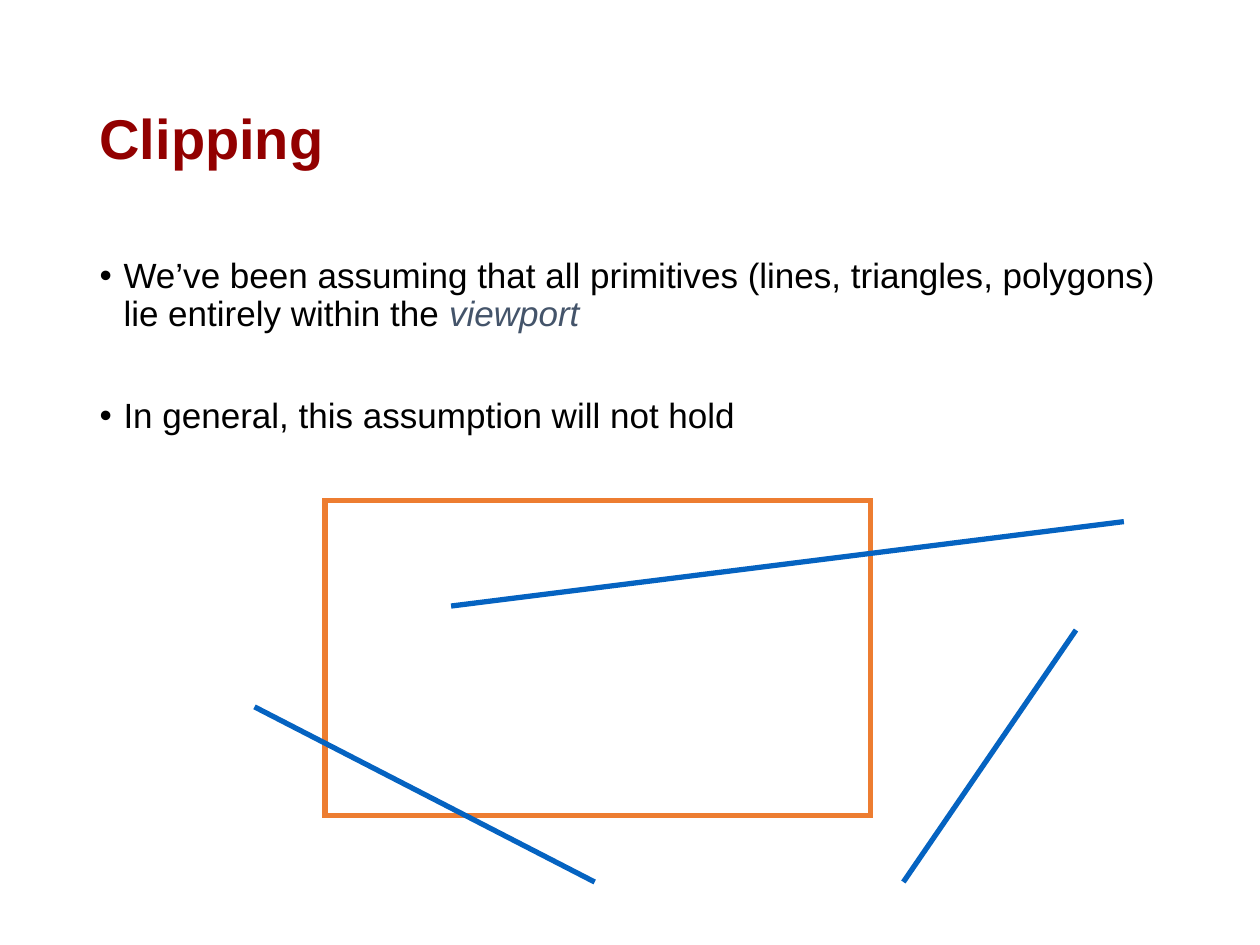
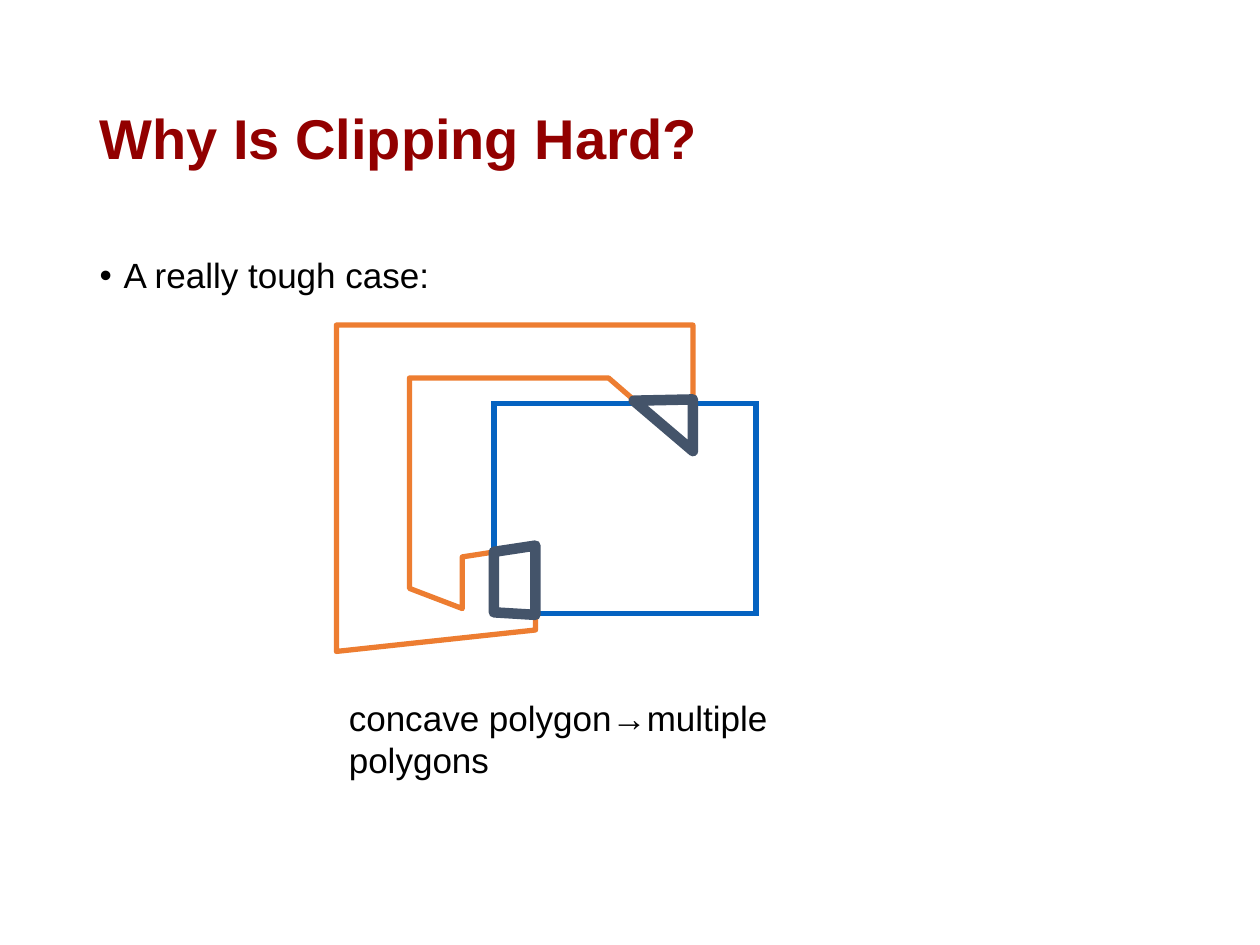
from dataclasses import dataclass

from lxml.etree import SubElement
from pptx import Presentation
from pptx.dml.color import RGBColor
from pptx.enum.shapes import MSO_CONNECTOR, MSO_SHAPE
from pptx.enum.text import MSO_ANCHOR, MSO_AUTO_SIZE, PP_ALIGN
from pptx.oxml.ns import qn
from pptx.util import Inches, Pt

COLORS = {
    "title": "920000",
    "text": "000000",
    "slate": "44546A",
    "orange": "ED7D31",
    "blue": "0563C1",
    "white": "FFFFFF",
}
FONT = "Arial"
TITLE_BOX = (0.69, 0.4, 8.62, 1.45)
BODY_BOX = (0.69, 2, 8.62, 4.76)
BULLET_INDENT = 0.19
BULLET_GAP = 37


@dataclass(frozen=True)
class Span:
    text: str
    color: str = "text"
    italic: bool = False


@dataclass(frozen=True)
class Segment:
    start: tuple[float, float]
    end: tuple[float, float]


@dataclass(frozen=True)
class Polygon:
    points: tuple[tuple[float, float], ...]
    color: str
    width: float
    fill: str | None = None


BULLETS = (
    (
        Span("We’ve been assuming that all primitives (lines, triangles, polygons) lie entirely within the "),
        Span("viewport", "slate", True),
    ),
    (Span("In general, this assumption will not hold"),),
)
SEGMENTS = (
    Segment((3.58, 4.81), (8.92, 4.14)),
    Segment((2.02, 5.61), (4.72, 7)),
    Segment((7.17, 7), (8.54, 5)),
)
CONCAVE_POLYGON = Polygon(
    (
        (4.25, 5), (4.25, 4.33), (3.67, 4.42), (3.67, 4.83), (3.25, 4.67), (3.25, 3),
        (4.83, 3), (5.5, 3.58), (5.5, 2.58), (2.67, 2.58), (2.67, 5.17),
    ),
    "orange", 3,
)
CLIPPED_PIECES = (
    Polygon(((4.25, 4.88), (4.25, 4.33), (3.92, 4.38), (3.92, 4.86)), "slate", 6, "white"),
    Polygon(((5.03, 3.18), (5.5, 3.58), (5.5, 3.17)), "slate", 6, "white"),
)


def rgb(name: str) -> RGBColor:
    return RGBColor.from_string(COLORS[name])


def write(para, text: str, *, size: float = 20, color: str = "text",
          bold: bool = False, italic: bool = False) -> None:
    span = para.add_run()
    span.text = text
    font = span.font
    font.name, font.size = FONT, Pt(size)
    font.bold, font.italic = bold, italic
    font.color.rgb = rgb(color)


def place(box, bounds: tuple) -> None:
    box.left, box.top, box.width, box.height = map(Inches, bounds)


def setup_frame(box, anchor):
    frame = box.text_frame
    frame.word_wrap = True
    frame.auto_size = MSO_AUTO_SIZE.NONE
    frame.vertical_anchor = anchor
    return frame


def add_page(deck, title: str, bullets: tuple):
    page = deck.slides.add_slide(deck.slide_layouts[1])
    heading, body = page.placeholders
    place(heading, TITLE_BOX)
    para = setup_frame(heading, MSO_ANCHOR.MIDDLE).paragraphs[0]
    para.alignment, para.line_spacing = PP_ALIGN.LEFT, 0.9
    write(para, title, size=32, color="title", bold=True)

    place(body, BODY_BOX)
    frame = setup_frame(body, MSO_ANCHOR.TOP)
    for index, spans in enumerate(bullets):
        para = frame.add_paragraph() if index else frame.paragraphs[0]
        para.line_spacing = 0.9
        para.space_before = Pt(BULLET_GAP if index else 0)
        properties = para._p.get_or_add_pPr()
        properties.set("marL", str(Inches(BULLET_INDENT)))
        properties.set("indent", str(-Inches(BULLET_INDENT)))
        SubElement(properties, qn("a:buFont")).set("typeface", FONT)
        SubElement(properties, qn("a:buChar")).set("char", "•")
        for span in spans:
            write(para, span.text, color=span.color, italic=span.italic)
    return page


def style_outline(shape, color: str, width: float, join: str, fill: str | None = None) -> None:
    shape.shadow.inherit = False
    if fill:
        shape.fill.solid()
        shape.fill.fore_color.rgb = rgb(fill)
    else:
        shape.fill.background()
    shape.line.color.rgb = rgb(color)
    shape.line.width = Pt(width)
    SubElement(shape.line._get_or_add_ln(), qn(f"a:{join}"))


def add_window(page, bounds: tuple, color: str) -> None:
    window = page.shapes.add_shape(MSO_SHAPE.RECTANGLE, *map(Inches, bounds))
    style_outline(window, color, 3, "miter")


def add_polygon(page, polygon: Polygon) -> None:
    points = [(Inches(x), Inches(y)) for x, y in polygon.points]
    builder = page.shapes.build_freeform(*points[0])
    builder.add_line_segments(points[1:], close=True)
    style_outline(builder.convert_to_shape(), polygon.color, polygon.width, "round", polygon.fill)


def add_segment(page, segment: Segment) -> None:
    line = page.shapes.add_connector(
        MSO_CONNECTOR.STRAIGHT, *map(Inches, segment.start + segment.end))
    line.line.color.rgb = rgb("blue")
    line.line.width = Pt(3)
    SubElement(line._element.spPr, qn("a:effectLst"))


def build_clipping(deck) -> None:
    page = add_page(deck, "Clipping", BULLETS)
    add_window(page, (2.58, 3.97, 4.33, 2.5), "orange")
    for segment in SEGMENTS:
        add_segment(page, segment)


def build_hard_case(deck) -> None:
    page = add_page(deck, "Why Is Clipping Hard?", ((Span("A really tough case:"),),))
    add_polygon(page, CONCAVE_POLYGON)
    add_window(page, (3.92, 3.2, 2.08, 1.67), "blue")
    for piece in CLIPPED_PIECES:
        add_polygon(page, piece)
    caption = page.shapes.add_textbox(*map(Inches, (2.67, 5.65, 4.7, 0.43)))
    frame = setup_frame(caption, MSO_ANCHOR.MIDDLE)
    write(frame.paragraphs[0], "concave polygon→multiple polygons")


def main() -> None:
    deck = Presentation()
    deck.slide_width, deck.slide_height = Inches(10), Inches(7.5)
    build_clipping(deck)
    build_hard_case(deck)
    deck.save("out.pptx")


if __name__ == "__main__":
    main()
